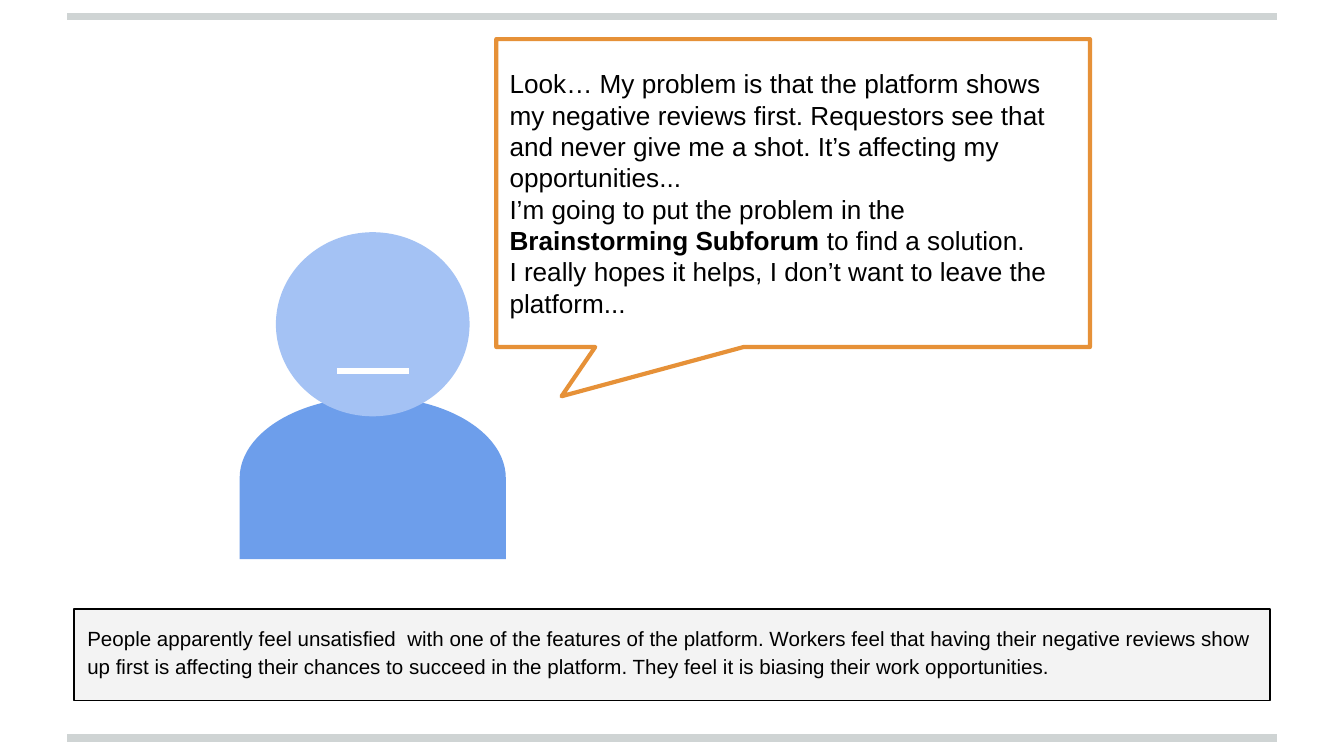
from pptx import Presentation
from pptx.dml.color import RGBColor
from pptx.enum.shapes import MSO_CONNECTOR, MSO_SHAPE
from pptx.enum.text import MSO_ANCHOR, PP_ALIGN
from pptx.oxml.ns import qn
from pptx.util import Cm, Pt
from lxml.etree import SubElement

WIDTH, HEIGHT = 25.4, 14.29
MARGIN = 1.27


def color(hex_text):
    return RGBColor.from_string(hex_text)


def add_filled_shape(slide, kind, box, fill=None, line=None, weight=1):
    shape = slide.shapes.add_shape(kind, *(Cm(length) for length in box))
    shape.shadow.inherit = False
    if fill:
        shape.fill.solid()
        shape.fill.fore_color.rgb = color(fill)
    else:
        shape.fill.background()
    if line:
        shape.line.color.rgb = color(line)
        shape.line.width = Pt(weight)
    else:
        shape.line.fill.background()
    return shape


def add_horizontal_line(slide, left, top, width, line, weight):
    connector = slide.shapes.add_connector(
        MSO_CONNECTOR.STRAIGHT, Cm(left), Cm(top), Cm(left + width), Cm(top))
    connector.line.color.rgb = color(line)
    connector.line.width = Pt(weight)
    SubElement(connector._element.spPr, qn("a:effectLst"))


def write_text(shape, paragraphs, size, anchor=MSO_ANCHOR.TOP, spacing=None):
    """Each paragraph is a list of (text, bold) runs."""
    frame = shape.text_frame
    frame.word_wrap = True
    frame.vertical_anchor = anchor
    frame.margin_left = frame.margin_right = Cm(0.25)
    frame.margin_top = frame.margin_bottom = Cm(0.25)
    for index, runs in enumerate(paragraphs):
        paragraph = frame.add_paragraph() if index else frame.paragraphs[0]
        paragraph.alignment = PP_ALIGN.LEFT
        if spacing:
            paragraph.line_spacing = spacing
        for text, bold in runs:
            run = paragraph.add_run()
            run.text = text
            run.font.name = "Arial"
            run.font.size = Pt(size)
            run.font.bold = bold
            run.font.color.rgb = color("000000")


def add_page_rules(slide, left, top, width, height):
    for rule_top in (top, top + height):
        add_horizontal_line(slide, left, rule_top, width, "CFD4D4", 4)


def add_worker(slide, left, top, width, height):
    center = left + width / 2
    # Shoulders: a delay symbol turned upright, so its sides swap
    body_height = 3.07
    body_middle = top + height - body_height / 2
    body = add_filled_shape(
        slide, MSO_SHAPE.FLOWCHART_DELAY,
        (center - body_height / 2, body_middle - width / 2, body_height, width),
        fill="6D9EEB")
    body.rotation = 270
    # Head and mouth
    head_width, mouth_width = 3.66, 1.36
    add_filled_shape(slide, MSO_SHAPE.OVAL,
                     (center - head_width / 2, top, head_width, 3.48),
                     fill="A4C2F4")
    add_horizontal_line(slide, center - mouth_width / 2, top + 2.62,
                        mouth_width, "FFFFFF", 3)


def add_speech(slide, left, top, width, height):
    callout = add_filled_shape(slide, MSO_SHAPE.ROUNDED_RECTANGULAR_CALLOUT,
                               (left, top, width, height),
                               line="E69138", weight=2.25)
    for index, value in enumerate((-0.39, 0.66, 0)):
        callout.adjustments[index] = value
    write_text(callout, [
        [("Look… My problem is that the platform shows my negative reviews "
          "first. Requestors see that and never give me a shot. It’s "
          "affecting my opportunities...", False)],
        [("I’m going to put the problem in the ", False),
         ("Brainstorming Subforum", True),
         (" to find a solution.", False)],
        [("I really hopes it helps, I don’t want to leave the platform...",
          False)],
    ], size=14, anchor=MSO_ANCHOR.MIDDLE)


def add_summary(slide, left, top, width, height):
    panel = add_filled_shape(slide, MSO_SHAPE.RECTANGLE,
                             (left, top, width, height),
                             fill="F3F3F3", line="000000", weight=0.75)
    write_text(panel, [[(
        "People apparently feel unsatisfied  with one of the features of the "
        "platform. Workers feel that having their negative reviews show up "
        "first is affecting their chances to succeed in the platform. They "
        "feel it is biasing their work opportunities.", False)]],
        size=11, spacing=1.15)


presentation = Presentation()
presentation.slide_width = Cm(WIDTH)
presentation.slide_height = Cm(HEIGHT)
slide = presentation.slides.add_slide(presentation.slide_layouts[6])

add_page_rules(slide, MARGIN, 0.31, WIDTH - 2 * MARGIN, 13.64)
add_worker(slide, 4.53, 4.39, 5.03, 6.18)
add_speech(slide, 9.38, 0.74, 11.22, 5.82)
add_summary(slide, 1.4, 11.51, WIDTH - 2 * 1.4, 1.73)

presentation.save("out.pptx")
